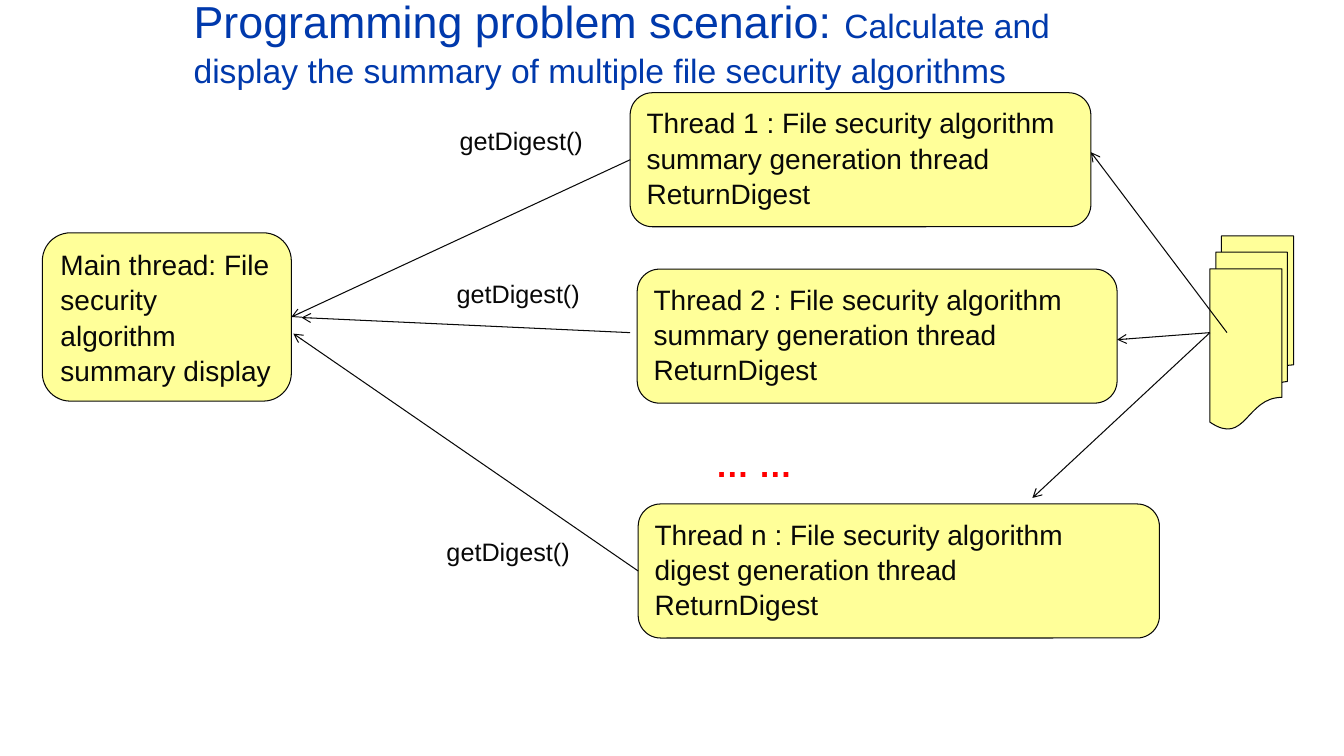
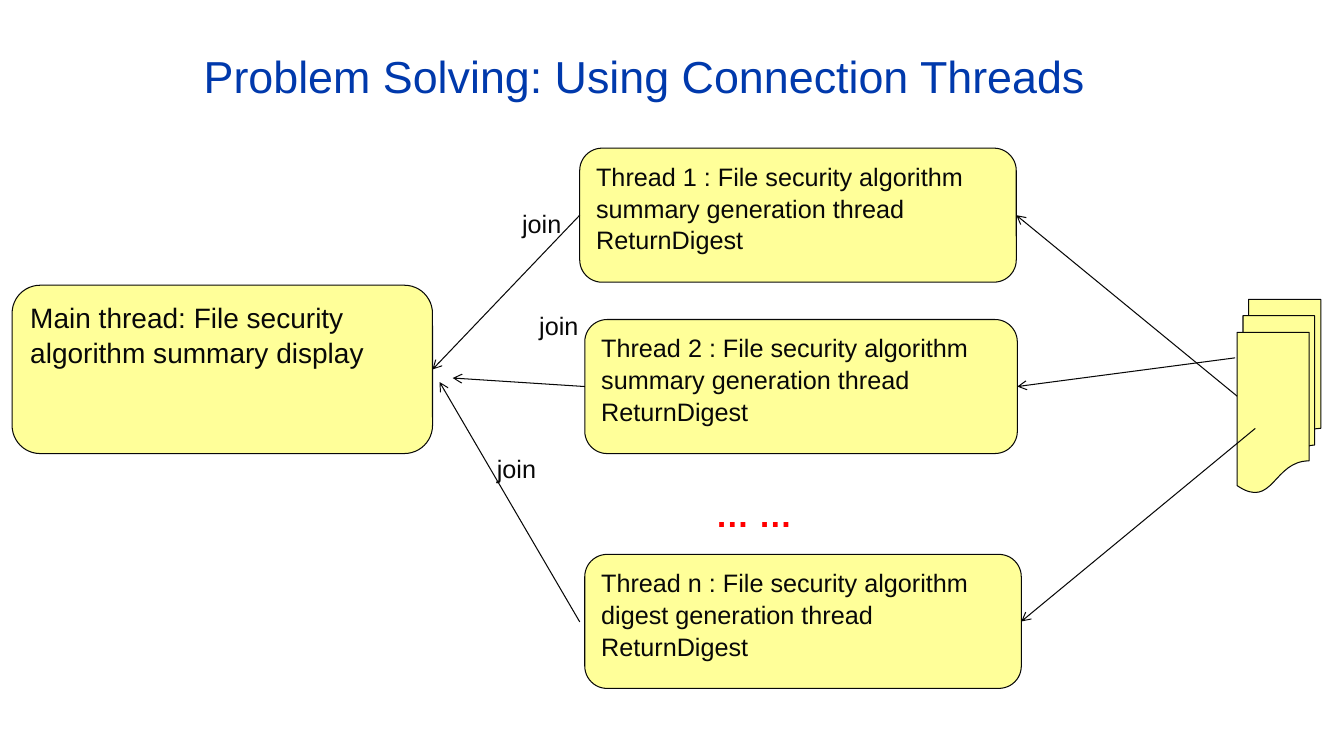
from typing import NamedTuple, Union

from lxml import etree
from pptx import Presentation
from pptx.dml.color import RGBColor
from pptx.enum.shapes import MSO_CONNECTOR, MSO_SHAPE
from pptx.enum.text import MSO_ANCHOR, MSO_AUTO_SIZE, PP_ALIGN
from pptx.oxml.ns import qn
from pptx.util import Inches, Pt

ROUNDED = MSO_SHAPE.ROUNDED_RECTANGLE
DOCUMENTS = MSO_SHAPE.FLOWCHART_MULTIDOCUMENT
STRAIGHT = MSO_CONNECTOR.STRAIGHT
TOP, MIDDLE = MSO_ANCHOR.TOP, MSO_ANCHOR.MIDDLE
LEFT = PP_ALIGN.LEFT
NO_FIT = MSO_AUTO_SIZE.NONE

BLUE, INK, YELLOW, RED = "0039AC", "080808", "FFFF99", "FF0000"
FONT = "Arial"
LINE_WIDTH = Pt(0.75)
LEFT_SIDE, RIGHT_SIDE = 1, 3

TITLE_SIZE, TITLE_W, TITLE_H = 32, 9, 0.47
MAIN_SIZE, MAIN_H = 20, 1.67
THREAD_H = 1.33
LABEL_SIZE, LABEL_H = 18, 0.4
DOTS_SIZE, DOTS_X, DOTS_W, DOTS_H = 24, 7, 1.33, 0.51
DOCS_W, DOCS_H = 0.83, 1.92

MAIN_TEXT = "Main thread: File security algorithm summary display"
THREADS = {
    "1": "summary",
    "2": "summary",
    "n": "digest",
}


class Run(NamedTuple):
    text: str
    size: float
    color: str = INK
    bold: bool = False


class Area(NamedTuple):
    x: float
    y: float
    w: float
    h: float


class Point(NamedTuple):
    x: float
    y: float


class Side(NamedTuple):
    shape: str
    site: int


End = Union[Point, Side]


class Arrow(NamedTuple):
    tip: End
    tail: End


class Diagram(NamedTuple):
    title: list[Run]
    title_at: Point
    main: Area
    threads: dict[str, Area]
    thread_size: float
    dots_y: float
    docs_at: Point
    label: str
    label_w: float
    labels_at: list[Point]
    arrows: list[Arrow]


DIAGRAMS = [
    Diagram(
        title=[
            Run("Programming problem scenario: ", TITLE_SIZE, BLUE),
            Run("Calculate and display the summary of multiple file "
                "security algorithms", 24, BLUE),
        ],
        title_at=Point(1.82, 0.17),
        main=Area(0.42, 2.31, 2.47, MAIN_H),
        threads={
            "1": Area(6.25, 0.92, 4.57, THREAD_H),
            "2": Area(6.32, 2.67, 4.76, THREAD_H),
            "n": Area(6.33, 5, 5.17, THREAD_H),
        },
        thread_size=20,
        dots_y=4.33,
        docs_at=Point(12, 2.34),
        label="getDigest()",
        label_w=1.49,
        labels_at=[Point(4.46, 1.18), Point(4.43, 2.7), Point(4.33, 5.26)],
        arrows=[
            Arrow(Side("main", RIGHT_SIDE), Side("1", LEFT_SIDE)),
            Arrow(Point(2.99, 3.15), Point(6.25, 3.3)),
            Arrow(Point(2.91, 3.31), Side("n", LEFT_SIDE)),
            Arrow(Point(10.82, 1.51), Point(12.17, 3.3)),
            Arrow(Point(11.08, 3.37), Side("docs", LEFT_SIDE)),
            Arrow(Point(10.24, 4.94), Side("docs", LEFT_SIDE)),
        ],
    ),
    Diagram(
        title=[Run("Problem Solving: Using Connection Threads", TITLE_SIZE, BLUE)],
        title_at=Point(1.92, 0.5),
        main=Area(0.12, 2.83, 4.17, MAIN_H),
        threads={
            "1": Area(5.75, 1.47, 4.33, THREAD_H),
            "2": Area(5.8, 3.17, 4.29, THREAD_H),
            "n": Area(5.8, 5.5, 4.33, THREAD_H),
        },
        thread_size=18,
        dots_y=4.83,
        docs_at=Point(12.27, 2.97),
        label="join",
        label_w=0.83,
        labels_at=[Point(5.08, 2), Point(5.25, 3.01), Point(4.83, 4.43)],
        arrows=[
            Arrow(Side("main", RIGHT_SIDE), Side("1", LEFT_SIDE)),
            Arrow(Point(4.49, 3.75), Side("2", LEFT_SIDE)),
            Arrow(Point(4.36, 3.79), Point(5.75, 6.17)),
            Arrow(Side("1", RIGHT_SIDE), Side("docs", LEFT_SIDE)),
            Arrow(Side("2", RIGHT_SIDE), Point(12.25, 3.55)),
            Arrow(Side("n", RIGHT_SIDE), Point(12.45, 4.25)),
        ],
    ),
]


def rgb(color: str) -> RGBColor:
    return RGBColor.from_string(color)


def inches(area: Area) -> list[Inches]:
    return [Inches(v) for v in area]


def write(tf, paragraphs: list[list[Run]], anchor=TOP) -> None:
    frame_format = {"word_wrap": True, "auto_size": NO_FIT, "vertical_anchor": anchor}
    for name, value in frame_format.items():
        setattr(tf, name, value)
    for i, runs in enumerate(paragraphs):
        p = tf.add_paragraph() if i else tf.paragraphs[0]
        p.alignment = LEFT
        p.line_spacing = 1.05
        for run in runs:
            r = p.add_run()
            r.text = run.text
            font_format = {"name": FONT, "size": Pt(run.size), "bold": run.bold}
            for name, value in font_format.items():
                setattr(r.font, name, value)
            r.font.color.rgb = rgb(run.color)


def outline(line) -> None:
    line.color.rgb = rgb(INK)
    line.width = LINE_WIDTH


def add_title(s, runs: list[Run], at: Point) -> None:
    title = s.shapes.title
    area = inches(Area(*at, TITLE_W, TITLE_H))
    for name, value in zip(("left", "top", "width", "height"), area):
        setattr(title, name, value)
    write(title.text_frame, [runs], MIDDLE)


def add_yellow(s, preset, area: Area):
    sp = s.shapes.add_shape(preset, *inches(area))
    sp.shadow.inherit = False
    sp.fill.solid()
    sp.fill.fore_color.rgb = rgb(YELLOW)
    outline(sp.line)
    return sp


def add_box(s, area: Area, lines: list[str], size: float):
    sp = add_yellow(s, ROUNDED, area)
    write(sp.text_frame, [[Run(text, size)] for text in lines])
    return sp


def add_text(s, area: Area, run: Run) -> None:
    write(s.shapes.add_textbox(*inches(area)).text_frame, [[run]])


def add_arrow(s, arrow: Arrow, shapes: dict) -> None:
    """Draw a line with its arrowhead at the tip, joined where an end is a Side."""
    ends = [end if isinstance(end, Point) else Point(0, 0) for end in arrow]
    cx = s.shapes.add_connector(
        STRAIGHT, *(Inches(v) for end in ends for v in end))
    for end, connect in zip(arrow, (cx.begin_connect, cx.end_connect)):
        if isinstance(end, Side):
            connect(shapes[end.shape], end.site)
    outline(cx.line)
    etree.SubElement(cx.line._get_or_add_ln(), qn("a:headEnd"), type="arrow")
    etree.SubElement(cx._element.spPr, qn("a:effectLst"))


def add_diagram(prs, d: Diagram) -> None:
    s = prs.slides.add_slide(prs.slide_layouts[5])
    add_title(s, d.title, d.title_at)
    shapes = {"main": add_box(s, d.main, [MAIN_TEXT], MAIN_SIZE)}
    for name, product in THREADS.items():
        lines = [f"Thread {name} : File security algorithm {product} generation thread",
                 "ReturnDigest"]
        shapes[name] = add_box(s, d.threads[name], lines, d.thread_size)
    add_text(s, Area(DOTS_X, d.dots_y, DOTS_W, DOTS_H),
             Run("… …", DOTS_SIZE, RED, True))
    shapes["docs"] = add_yellow(s, DOCUMENTS, Area(*d.docs_at, DOCS_W, DOCS_H))
    for arrow in d.arrows:
        add_arrow(s, arrow, shapes)
    for at in d.labels_at:
        add_text(s, Area(*at, d.label_w, LABEL_H), Run(d.label, LABEL_SIZE))


def main() -> None:
    prs = Presentation()
    prs.slide_width, prs.slide_height = Inches(13.33), Inches(7.5)
    for diagram in DIAGRAMS:
        add_diagram(prs, diagram)
    prs.save("out.pptx")


if __name__ == "__main__":
    main()
